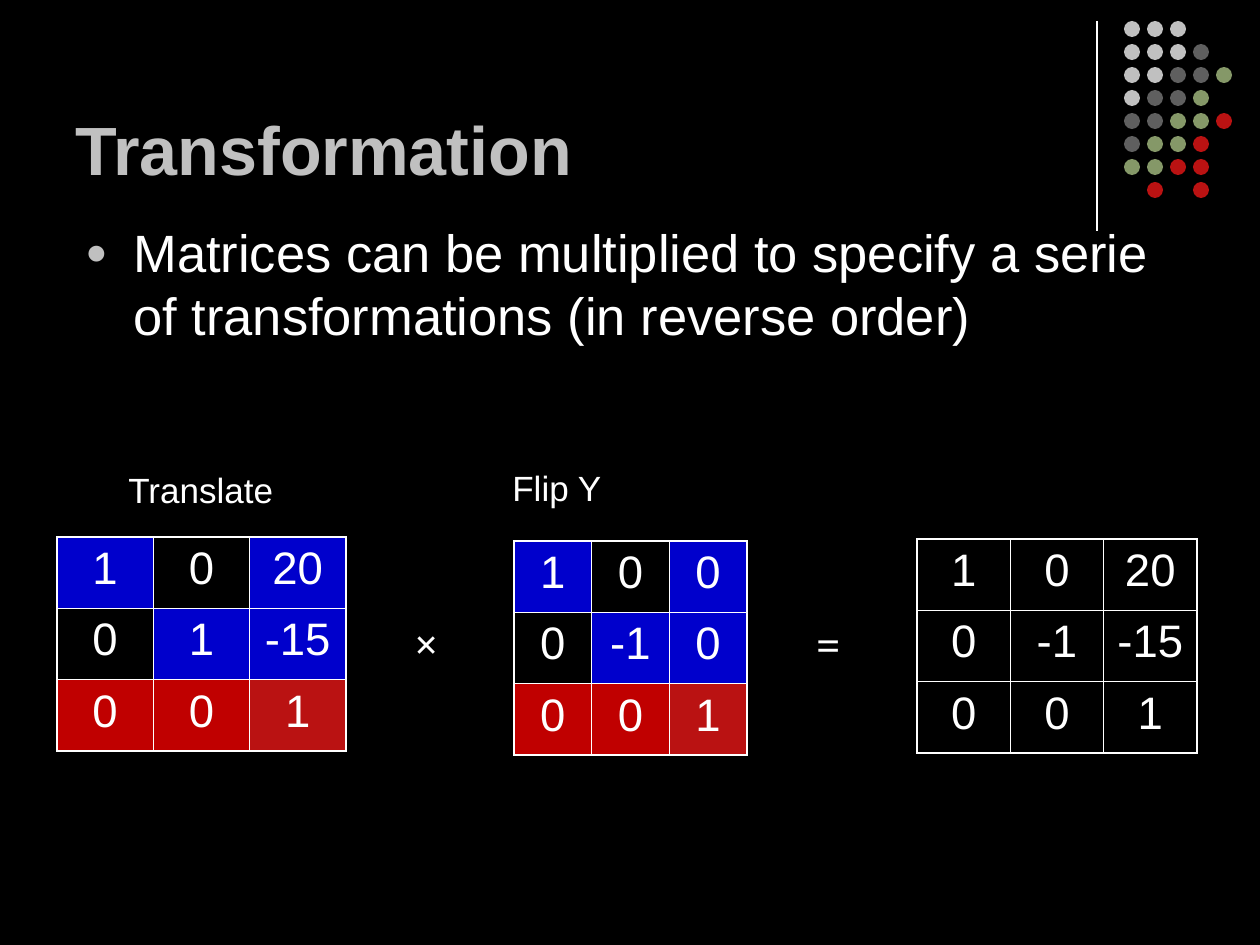
from lxml import etree
from pptx import Presentation
from pptx import util as u
from pptx.dml.color import RGBColor
from pptx.enum import shapes, text
from pptx.oxml import ns

COLORS = {
    "black": "000000", "white": "FFFFFF", "silver": "C0C0C0", "gray": "5F5F5F",
    "green": "859868", "red": "BA1212", "crimson": "C00000", "blue": "0000CC",
}
EMU_PER_PX = 914400 / 126


def px(length):
    return u.Emu(round(length * EMU_PER_PX))


def add_xml(parent, tag, **attributes):
    return etree.SubElement(parent, ns.qn(tag), attributes)


class SlideBuilder:
    """Holds the text style and the slide being filled."""

    font = "Arial"
    outer_border, inner_border = 1.08, 0.45

    def __init__(self, slide):
        self.slide = slide

    def color(self, name):
        return RGBColor.from_string(COLORS[name])

    def paint(self, fill, name):
        fill.solid()
        fill.fore_color.rgb = self.color(name)

    def background(self, name):
        self.paint(self.slide.background.fill, name)

    def style(self, paragraph, size, color="white", font=None, bold=False):
        for run in paragraph.runs:
            run.font.size = u.Pt(size)
            run.font.name = font or self.font
            run.font.bold = bold
            run.font.color.rgb = self.color(color)

    def label(self, words, x, y, w, h, size, anchor=text.MSO_ANCHOR.TOP, **style):
        frame = self.slide.shapes.add_textbox(px(x), px(y), px(w), px(h)).text_frame
        frame.word_wrap = True
        frame.vertical_anchor = anchor
        frame.text = words
        self.style(frame.paragraphs[0], size, **style)
        return frame.paragraphs[0]

    def bullet(self, words, x, y, w, h, size, indent):
        paragraph = self.label(words, x, y, w, h, size)
        properties = paragraph._p.get_or_add_pPr()
        properties.set("marL", str(px(indent)))
        properties.set("indent", str(-px(indent)))
        bullet_color = add_xml(properties, "a:buClr")
        add_xml(bullet_color, "a:srgbClr", val=COLORS["silver"])
        add_xml(properties, "a:buSzPct", val="70000")
        add_xml(properties, "a:buFont", typeface=self.font)
        add_xml(properties, "a:buChar", char="●")

    def rule(self, x, top, bottom):
        line = self.slide.shapes.add_connector(
            shapes.MSO_CONNECTOR.STRAIGHT, px(x), px(top), px(x), px(bottom))
        line.line.width = u.Pt(0.75)
        line.line.color.rgb = self.color("white")
        add_xml(line._element.spPr, "a:effectLst")

    def dots(self, rows, x, y, size, pitch):
        names = {"s": "silver", "g": "gray", "o": "green", "r": "red"}
        group = self.slide.shapes.add_group_shape()
        for r, row in enumerate(rows):
            for c, key in enumerate(row):
                if key not in names:
                    continue
                dot = group.shapes.add_shape(
                    shapes.MSO_SHAPE.OVAL, px(x + c * pitch), px(y + r * pitch),
                    px(size), px(size))
                dot.shadow.inherit = False
                self.paint(dot.fill, names[key])
                dot.line.fill.background()

    def border(self, cell, on_edge):
        properties = cell._tc.get_or_add_tcPr()
        for side, outer in on_edge.items():
            width = u.Pt(self.outer_border if outer else self.inner_border)
            line = add_xml(properties, "a:ln" + side, w=str(width))
            add_xml(add_xml(line, "a:solidFill"), "a:srgbClr", val=COLORS["white"])

    def matrix(self, values, x, y, w, h, fills=None):
        last = len(values) - 1
        frame = self.slide.shapes.add_table(
            last + 1, last + 1, px(x), px(y), px(w), px(h))
        table = frame.table
        table.first_row = table.horz_banding = False
        for r, row in enumerate(values):
            for c, value in enumerate(row):
                cell = table.cell(r, c)
                cell.text = str(value)
                paragraph = cell.text_frame.paragraphs[0]
                paragraph.alignment = text.PP_ALIGN.CENTER
                self.style(paragraph, 26)
                # Borders come before the fill in the cell properties
                self.border(cell, {"L": c == 0, "R": c == last,
                                   "T": r == 0, "B": r == last})
                if fills and fills[r][c]:
                    self.paint(cell.fill, fills[r][c])
                else:
                    cell.fill.background()


def main():
    deck = Presentation()
    deck.slide_width, deck.slide_height = px(1260), px(945)
    page = SlideBuilder(deck.slides.add_slide(deck.slide_layouts[6]))
    page.background("black")

    # Corner decoration
    page.rule(1097, 21, 231)
    page.dots(["sss", "sssg", "ssggo", "sggo", "ggoor", "goor", "oorr", " r r"],
              1124, 21, 16, 23)

    # Title and statement
    page.label("Transformation", 63, 16, 1040, 179, 39,
               anchor=text.MSO_ANCHOR.BOTTOM, color="silver", bold=True)
    page.bullet("Matrices can be multiplied to specify a serie of transformations "
                "(in reverse order)", 73, 214, 1134, 218, 30, indent=48)

    # Matrix names and operators
    for name, x, y in [("Translate", 116, 462), ("Flip Y", 500, 460)]:
        page.label(name, x, y, 185, 55, 20)
    for operator, x, y in [("×", 402, 611), ("=", 804, 612)]:
        page.label(operator, x, y, 57, 63, 24, font="Times New Roman", bold=True)

    # Matrices: translate × flip = result
    roles = [["blue", None, "blue"],
             [None, "blue", "blue"],
             ["crimson", "crimson", "red"]]
    page.matrix([[1, 0, 20], [0, 1, -15], [0, 0, 1]], 57, 537, 289, 214, roles)
    page.matrix([[1, 0, 0], [0, -1, 0], [0, 0, 1]], 514, 541, 233, 214, roles)
    page.matrix([[1, 0, 20], [0, -1, -15], [0, 0, 1]], 917, 539, 280, 214)

    deck.save("out.pptx")


if __name__ == "__main__":
    main()
